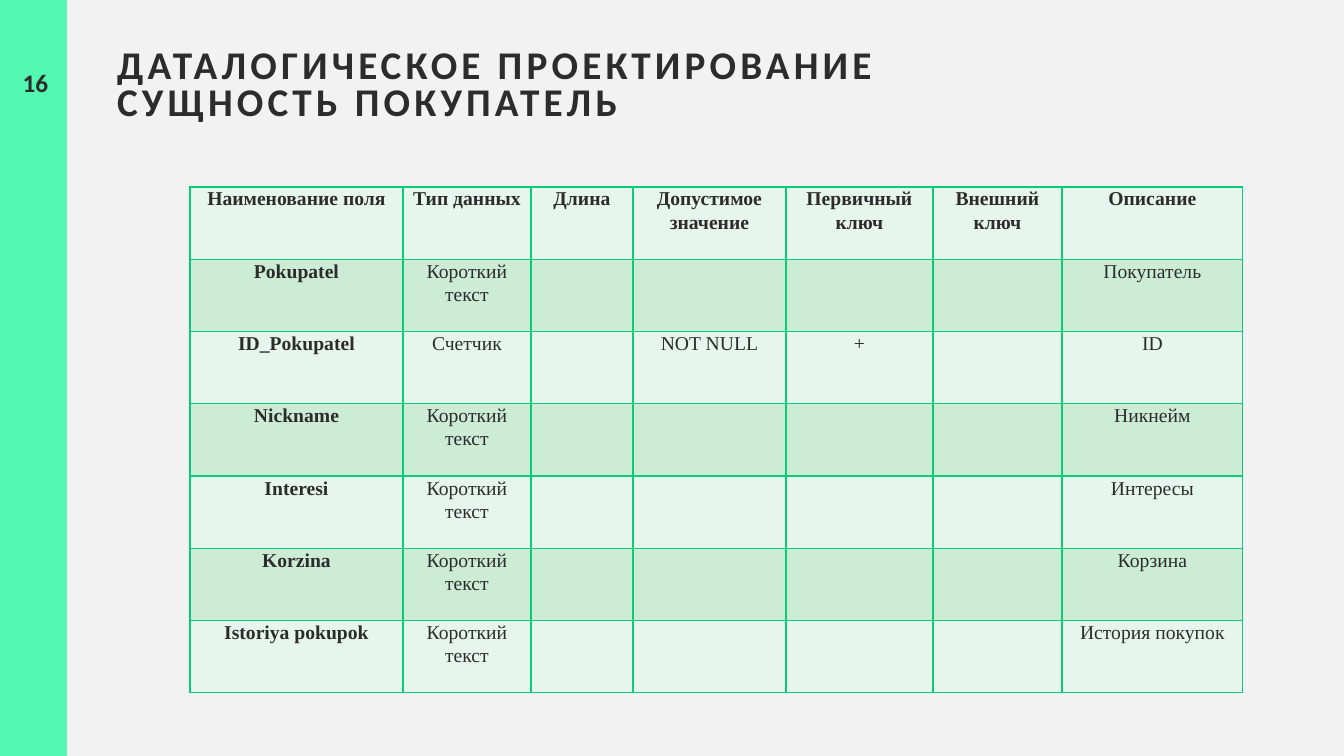
from lxml import etree
from pptx import Presentation
from pptx.dml.color import RGBColor
from pptx.enum.shapes import MSO_SHAPE
from pptx.enum.text import MSO_ANCHOR, MSO_AUTO_SIZE, PP_ALIGN
from pptx.oxml.ns import qn
from pptx.util import Emu, Pt

RECTANGLE = MSO_SHAPE.RECTANGLE
TOP = MSO_ANCHOR.TOP
NO_AUTOFIT = MSO_AUTO_SIZE.NONE
LEFT, CENTER = PP_ALIGN.LEFT, PP_ALIGN.CENTER

BACKGROUND = RGBColor(0xF2, 0xF2, 0xF2)
ACCENT = RGBColor(0x53, 0xF8, 0xB1)
INK = RGBColor(0x2C, 0x2C, 0x2C)
BORDER = RGBColor(0x08, 0xCC, 0x78)
BANDS = (RGBColor(0xE7, 0xF6, 0xEC), RGBColor(0xCC, 0xEC, 0xD6))

EMU_PER_PX = 12192000 / 1344
SHORT_TEXT = "Короткий текст"
COLUMN_WIDTHS = (213, 128, 102, 153, 147, 129, 181)
FIELDS = (
    ("Наименование поля", "Тип данных", "Длина", "Допустимое значение",
     "Первичный ключ", "Внешний ключ", "Описание"),
    ("Pokupatel", SHORT_TEXT, "", "", "", "", "Покупатель"),
    ("ID_Pokupatel", "Счетчик", "", "NOT NULL", "+", "", "ID"),
    ("Nickname", SHORT_TEXT, "", "", "", "", "Никнейм"),
    ("Interesi", SHORT_TEXT, "", "", "", "", "Интересы"),
    ("Korzina", SHORT_TEXT, "", "", "", "", "Корзина"),
    ("Istoriya pokupok", SHORT_TEXT, "", "", "", "", "История покупок"),
)


def px(length):
    return Emu(round(length * EMU_PER_PX))


class SlideBuilder:
    heading_font = "Calibri"
    table_font = "Times New Roman"

    def __init__(self, slide):
        self.slide = slide
        fill = slide.background.fill
        fill.solid()
        fill.fore_color.rgb = BACKGROUND

    def format_text(self, frame, font, size, bold, align, line_spacing=1.0):
        for para in frame.paragraphs:
            para.alignment = align
            para.line_spacing = line_spacing
            for span in para.runs:
                span.font.name = font
                span.font.size = Pt(size)
                span.font.bold = bold
                span.font.color.rgb = INK

    def side_bar(self, left, top, width, height):
        bar = self.slide.shapes.add_shape(
            RECTANGLE, px(left), px(top), px(width), px(height))
        bar.shadow.inherit = False
        bar.fill.solid()
        bar.fill.fore_color.rgb = ACCENT
        bar.line.fill.background()

    def title(self, text, left, top, width, height):
        title = self.slide.shapes.title
        title.left, title.top = px(left), px(top)
        title.width, title.height = px(width), px(height)
        frame = title.text_frame
        frame.text = text
        frame.word_wrap = True
        frame.auto_size = NO_AUTOFIT
        frame.vertical_anchor = TOP
        self.format_text(frame, self.heading_font, 28, True, LEFT, 0.8)
        for span in frame.paragraphs[0].runs:
            span.font._element.set("spc", "300")

    def page_number(self, text, left, top, width, height):
        box = self.slide.shapes.add_textbox(
            px(left), px(top), px(width), px(height))
        frame = box.text_frame
        frame.word_wrap = True
        frame.text = text
        self.format_text(frame, self.heading_font, 18, True, CENTER)

    def table(self, rows, widths, left, top, height):
        table = self.slide.shapes.add_table(
            len(rows), len(widths), px(left), px(top),
            px(sum(widths)), px(height)).table
        for column, width in zip(table.columns, widths):
            column.width = px(width)
        for row_index, texts in enumerate(rows):
            table.rows[row_index].height = px(height / len(rows))
            for column_index, text in enumerate(texts):
                cell = table.cell(row_index, column_index)
                bold = row_index == 0 or column_index == 0
                self.fill_cell(cell, text, bold, BANDS[row_index % 2])

    def fill_cell(self, cell, text, bold, color):
        cell.margin_left = cell.margin_right = px(7)
        cell.margin_top = cell.margin_bottom = 0
        cell.text_frame.text = text
        self.format_text(cell.text_frame, self.table_font, 14, bold,
                         CENTER, 1.07)
        self.outline_cell(cell)
        cell.fill.solid()
        cell.fill.fore_color.rgb = color

    def outline_cell(self, cell):
        properties = cell._tc.get_or_add_tcPr()
        for side in ("a:lnL", "a:lnR", "a:lnT", "a:lnB"):
            line = etree.SubElement(properties, qn(side), w=str(Pt(1)))
            fill = etree.SubElement(line, qn("a:solidFill"))
            etree.SubElement(fill, qn("a:srgbClr"), val=str(BORDER))


def main():
    deck = Presentation()
    deck.slide_width, deck.slide_height = px(1344), px(756)
    title_only = deck.slide_layouts[5]
    page = SlideBuilder(deck.slides.add_slide(title_only))
    page.side_bar(0, 0, 67, 756)
    page.title("ДАТАЛОГИЧЕСКОЕ ПРОЕКТИРОВАНИЕ \vСУЩНОСТЬ ПОКУПАТЕЛЬ",
               107, 44, 1135, 118)
    page.page_number("16", 2, 62, 67, 40)
    page.table(FIELDS, COLUMN_WIDTHS, 190, 187, 506)
    deck.save("out.pptx")


if __name__ == "__main__":
    main()
